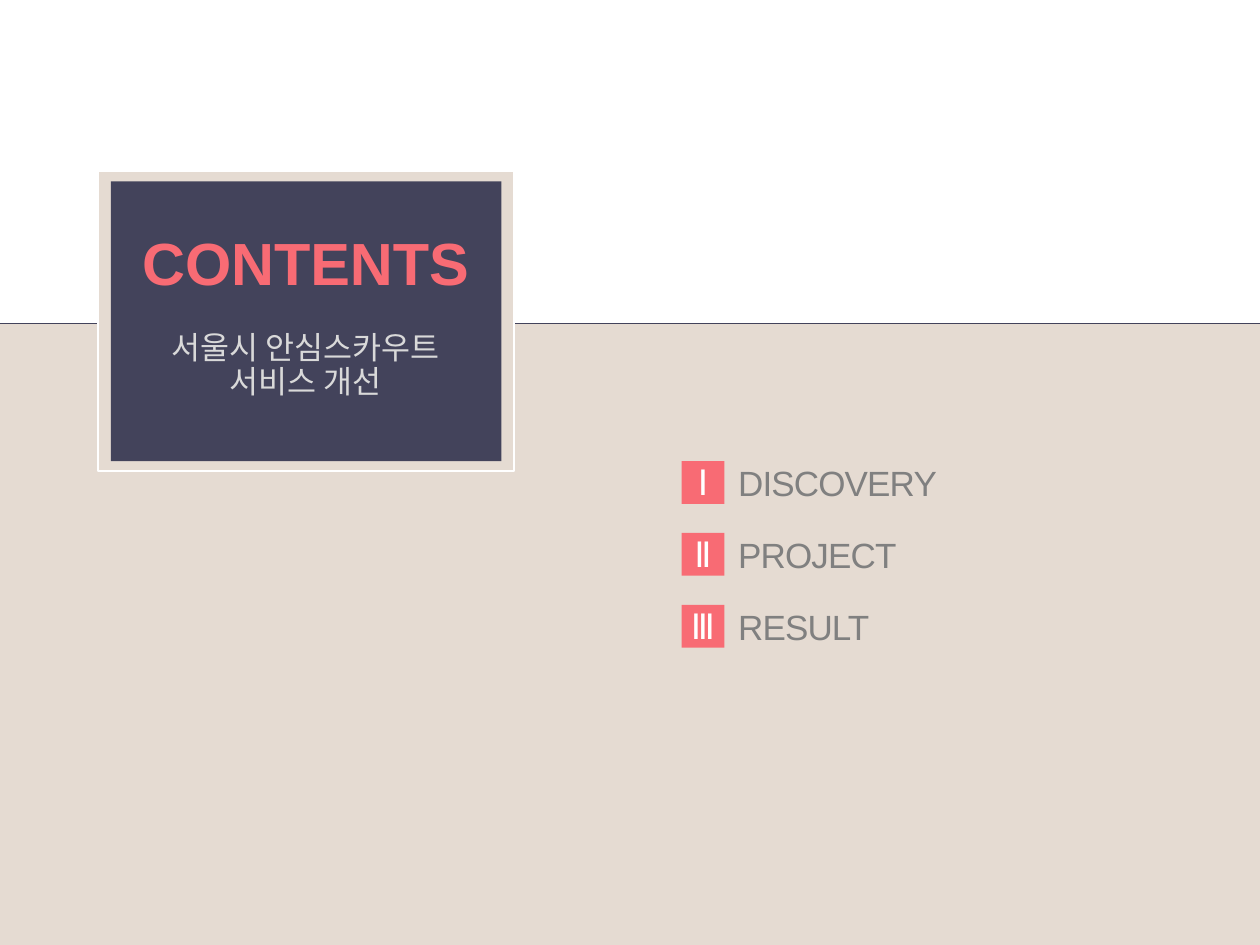
from pptx import Presentation
from pptx.dml.color import RGBColor
from pptx.enum.shapes import MSO_CONNECTOR, MSO_SHAPE
from pptx.enum.text import MSO_ANCHOR, MSO_AUTO_SIZE, PP_ALIGN
from pptx.oxml.ns import qn
from pptx.util import Inches, Pt
from lxml import etree

RECT, STRAIGHT = MSO_SHAPE.RECTANGLE, MSO_CONNECTOR.STRAIGHT
LEFT, CENTER = PP_ALIGN.LEFT, PP_ALIGN.CENTER
TOP, MIDDLE = MSO_ANCHOR.TOP, MSO_ANCHOR.MIDDLE
NO_FIT = MSO_AUTO_SIZE.NONE

W, H = 10, 7.5
HORIZON = 2.57
NAVY, SAND, CORAL = "43435B", "E5DBD2", "F86B74"
WHITE, GREY, SILVER = "FFFFFF", "808080", "D9D9D9"

# Chapter list grid
CHAPTERS = [("Ⅰ", "DISCOVERY"), ("Ⅱ", "PROJECT"), ("Ⅲ", "RESULT")]
LIST_X, LIST_Y, ROW_STEP = 5.41, 3.66, 0.57
BADGE, LABEL_W, LABEL_H = 0.34, 3.93, 0.44


def color(hex_code):
    return RGBColor.from_string(hex_code)


def add_rect(s, x, y, w, h, fill, line=None):
    sp = s.shapes.add_shape(RECT, Inches(x), Inches(y), Inches(w), Inches(h))
    sp.shadow.inherit = False
    sp.fill.solid()
    sp.fill.fore_color.rgb = color(fill)
    if line:
        sp.line.color.rgb = color(line)
        sp.line.width = Pt(1.25)
    else:
        sp.line.fill.background()
    return sp


def add_rule(s, y):
    ln = s.shapes.add_connector(STRAIGHT, 0, Inches(y), Inches(W), Inches(y))
    ln.line.color.rgb = color(NAVY)
    ln.line.width = Pt(0.5)
    etree.SubElement(ln.element.spPr, qn("a:effectLst"))


def write(sp, lines, size, hex_code, align=CENTER, anchor=MIDDLE, wrap=True,
          bold=False, tracking=None, spacing=1.0, after=0):
    tf = sp.text_frame
    tf.auto_size = NO_FIT
    tf.word_wrap = wrap
    tf.vertical_anchor = anchor
    for i, line in enumerate(lines):
        p = tf.add_paragraph() if i else tf.paragraphs[0]
        p.alignment = align
        p.line_spacing = spacing
        p.space_before, p.space_after = Pt(0), Pt(after)
        r = p.add_run()
        r.text = line
        r.font.name, r.font.size, r.font.bold = "Arial", Pt(size), bold
        r.font.color.rgb = color(hex_code)
        if tracking is not None:
            r.font._element.set("spc", str(int(tracking * 100)))


def place_on_top(sp, x, y, w, h):
    sp.left, sp.top, sp.width, sp.height = map(Inches, (x, y, w, h))
    sp.element.getparent().append(sp.element)


def add_chapter(s, row, numeral, name):
    y = LIST_Y + row * ROW_STEP
    label = s.shapes.add_textbox(
        Inches(LIST_X + BADGE + 0.01), Inches(y + (BADGE - LABEL_H) / 2),
        Inches(LABEL_W), Inches(LABEL_H))
    write(label, [name], 20, GREY, LEFT, tracking=-0.5, after=10)

    badge = add_rect(s, LIST_X, y, BADGE, BADGE, CORAL)
    tf = badge.text_frame
    tf.margin_left = tf.margin_right = tf.margin_top = Inches(0.04)
    tf.margin_bottom = Inches(0.05)
    write(badge, [numeral], 20, WHITE, wrap=False, tracking=-0.5, after=10)


def main():
    prs = Presentation()
    prs.slide_width, prs.slide_height = Inches(W), Inches(H)
    s = prs.slides.add_slide(prs.slide_layouts[0])
    s.background.fill.solid()
    s.background.fill.fore_color.rgb = color(WHITE)

    # Backdrop and framed title card
    add_rect(s, 0, HORIZON, W, H - HORIZON, SAND)
    add_rule(s, HORIZON)
    add_rect(s, 0.78, 1.36, 3.3, 2.38, SAND, WHITE)
    add_rect(s, 0.88, 1.44, 3.1, 2.22, NAVY)

    # Chapter list
    for row, (numeral, name) in enumerate(CHAPTERS):
        add_chapter(s, row, numeral, name)

    # Title and subtitle on the card
    title, subtitle = s.shapes.title, s.placeholders[1]
    place_on_top(title, 0.95, 1.77, 2.95, 0.61)
    write(title, ["CONTENTS"], 34, CORAL, bold=True, wrap=False)
    place_on_top(subtitle, 0.95, 2.59, 2.95, 1)
    write(subtitle, ["서울시 안심스카우트", "서비스 개선"], 18, SILVER,
          anchor=TOP, spacing=0.9)

    prs.save("out.pptx")


if __name__ == "__main__":
    main()
